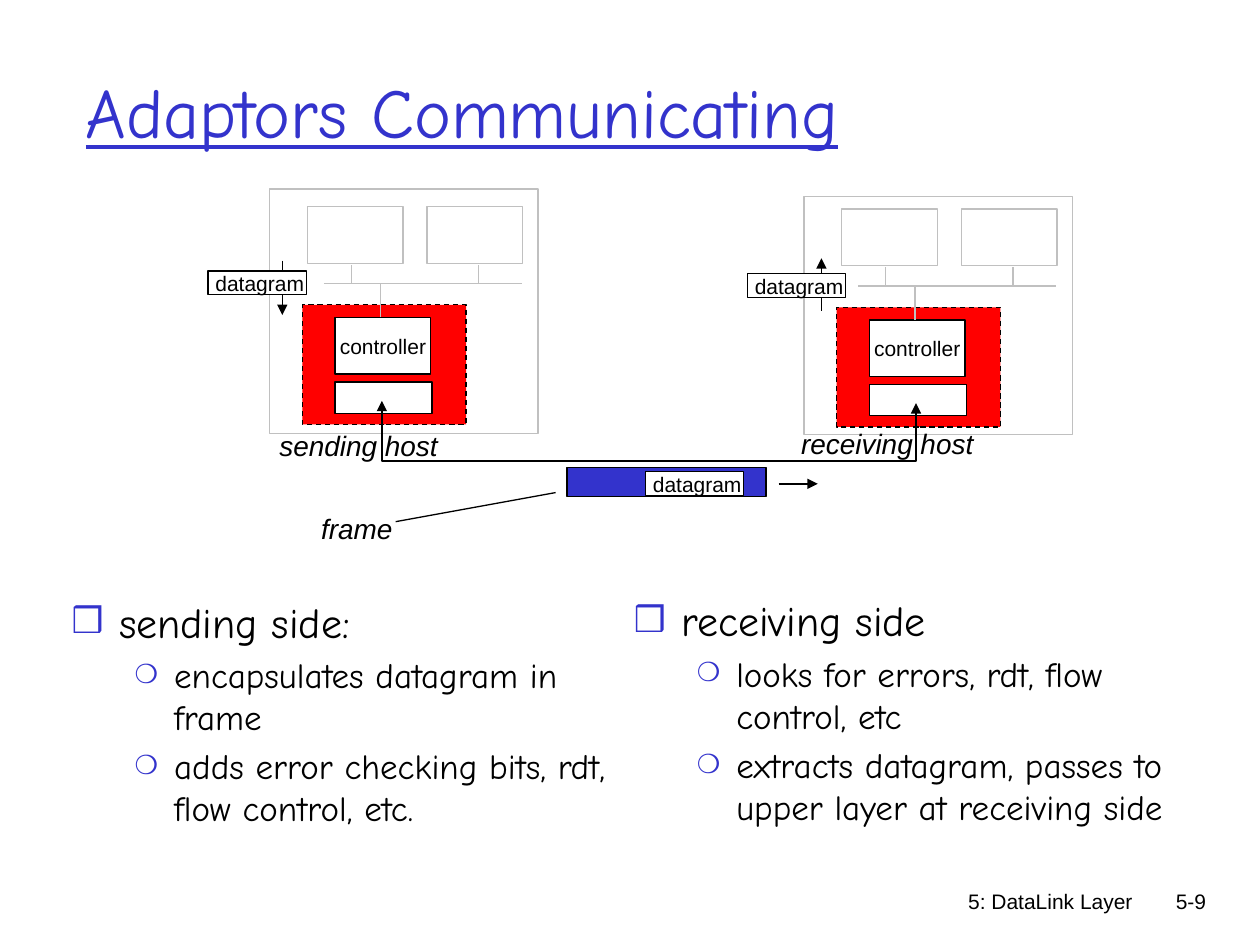
from dataclasses import dataclass

from lxml import etree
from pptx import Presentation
from pptx.dml.color import RGBColor
from pptx.enum.dml import MSO_LINE
from pptx.enum.shapes import MSO_CONNECTOR, MSO_SHAPE
from pptx.enum.text import MSO_ANCHOR, MSO_AUTO_SIZE, PP_ALIGN
from pptx.oxml.ns import qn
from pptx.util import Pt

RECT = MSO_SHAPE.RECTANGLE
STRAIGHT = MSO_CONNECTOR.STRAIGHT
DASH = MSO_LINE.DASH
NO_AUTOFIT = MSO_AUTO_SIZE.NONE
LEFT, CENTER, RIGHT = PP_ALIGN.LEFT, PP_ALIGN.CENTER, PP_ALIGN.RIGHT
TOP, MIDDLE = MSO_ANCHOR.TOP, MSO_ANCHOR.MIDDLE


@dataclass(frozen=True)
class Theme:
    ink: RGBColor = RGBColor(0, 0, 0)
    paper: RGBColor = RGBColor(0xFF, 0xFF, 0xFF)
    accent: RGBColor = RGBColor(0x33, 0x33, 0xCC)
    adaptor: RGBColor = RGBColor(0xFF, 0, 0)
    faint: RGBColor = RGBColor(0xC0, 0xC0, 0xC0)
    heading_font: str = "Comic Neue"
    label_font: str = "Arial"
    title: int = 40
    topic: int = 24
    detail: int = 20
    caption: int = 16
    label: int = 12
    rule: float = 0.75


THEME = Theme()


def set_font(font, name, size, color=THEME.ink):
    font.name = name
    font.size = Pt(size)
    font.color.rgb = color


def place(placeholder, box):
    placeholder.left, placeholder.top, placeholder.width, placeholder.height = map(Pt, box)


def style_line(line, color):
    line.color.rgb = color
    line.width = Pt(THEME.rule)


def add_rect(slide, box, fill=THEME.paper, line=THEME.ink):
    rect = slide.shapes.add_shape(RECT, *map(Pt, box))
    rect.shadow.inherit = False
    rect.fill.solid()
    rect.fill.fore_color.rgb = fill
    style_line(rect.line, line)
    return rect


def add_arrowheads(shape, *ends):
    """Put triangles on the given ends of a styled line, headEnd before tailEnd."""
    outline = shape._element.spPr.find(qn("a:ln"))
    for end in ends:
        etree.SubElement(outline, qn(f"a:{end}"), type="triangle")


def add_line(slide, start, finish, color=THEME.ink, ends=()):
    connector = slide.shapes.add_connector(STRAIGHT, *map(Pt, (*start, *finish)))
    etree.SubElement(connector._element.spPr, qn("a:effectLst"))
    style_line(connector.line, color)
    add_arrowheads(connector, *ends)


def add_label(slide, words, box, size, italic=False, align=LEFT, wrap=False):
    frame = slide.shapes.add_textbox(*map(Pt, box)).text_frame
    frame.word_wrap = wrap
    paragraph = frame.paragraphs[0]
    paragraph.text = words
    paragraph.alignment = align
    set_font(paragraph.font, THEME.label_font, size)
    paragraph.font.italic = italic


def label_rect(rect, words, align, anchor, left_inset=0):
    frame = rect.text_frame
    frame.margin_left = Pt(left_inset)
    frame.margin_top = frame.margin_right = frame.margin_bottom = 0
    frame.word_wrap = False
    frame.vertical_anchor = anchor
    paragraph = frame.paragraphs[0]
    paragraph.text = words
    paragraph.alignment = align
    set_font(paragraph.font, THEME.label_font, THEME.label)


def add_title(slide, words, box):
    title = slide.shapes.title
    place(title, box)
    frame = title.text_frame
    frame.auto_size = NO_AUTOFIT
    frame.vertical_anchor = MIDDLE
    paragraph = frame.paragraphs[0]
    paragraph.text = words
    paragraph.alignment = LEFT
    set_font(paragraph.font, THEME.heading_font, THEME.title, THEME.accent)
    paragraph.font.underline = True


def add_bullet(paragraph, mark, percent, margin, hanging):
    properties = paragraph._p.get_or_add_pPr()
    properties.set("marL", str(Pt(margin)))
    properties.set("indent", str(-Pt(hanging)))
    color = etree.SubElement(properties, qn("a:buClr"))
    etree.SubElement(color, qn("a:srgbClr"), val=str(THEME.accent))
    etree.SubElement(properties, qn("a:buSzPct"), val=str(percent * 1000))
    etree.SubElement(properties, qn("a:buChar"), char=mark)


def add_side_list(placeholder, topic, details, box):
    place(placeholder, box)
    frame = placeholder.text_frame
    frame.auto_size = NO_AUTOFIT
    heading = frame.paragraphs[0]
    heading.text = topic
    heading.space_before = Pt(0)
    add_bullet(heading, "❒", 85, 27, 27)
    set_font(heading.font, THEME.heading_font, THEME.topic)
    for detail in details:
        item = frame.add_paragraph()
        item.text = detail
        item.level = 1
        item.space_before = Pt(THEME.detail * 0.2)
        add_bullet(item, "❍", 75, 58.5, 22.5)
        set_font(item.font, THEME.heading_font, THEME.detail)


def add_host(slide, box, inner_top):
    """Draw a host outline, with its parts measured from its left and inner_top."""
    left = box[0]

    def at(x, y):
        return left + x, inner_top + y

    add_rect(slide, box, line=THEME.faint)
    adaptor = add_rect(slide, (*at(18.7, 66.2), 93.6, 68.4), fill=THEME.adaptor)
    adaptor.line.dash_style = DASH
    add_rect(slide, (*at(37.4, 110.2), 55.4, 18))
    unit = 54.7, 32.4
    controller = add_rect(slide, (*at(37.4, 73.4), *unit))
    label_rect(controller, "controller", CENTER, MIDDLE)
    bus = 54
    add_line(slide, at(31, bus), at(144, bus), THEME.faint)
    add_line(slide, at(63.4, 73.4), at(63.4, bus), THEME.faint)
    for unit_left, leg in ((21.6, 46.8), (90, 119.5)):
        add_rect(slide, (*at(unit_left, 10.1), *unit), line=THEME.faint)
        add_line(slide, at(leg, bus), at(leg, 43.2), THEME.faint)


def add_datagram(slide, left, top):
    label_rect(add_rect(slide, (left, top, 56.2, 13.7)), "datagram", LEFT, TOP, 4.3)


def add_link(slide, left, top, right, bottom):
    """Draw the wire that joins the two adaptors from below."""
    outline = slide.shapes.build_freeform(Pt(left), Pt(top))
    outline.add_line_segments(
        [(Pt(x), Pt(y)) for x, y in ((left, bottom), (right, bottom), (right, top + 1.4))],
        close=False)
    wire = outline.convert_to_shape()
    wire.shadow.inherit = False
    wire.fill.background()
    style_line(wire.line, THEME.ink)
    add_arrowheads(wire, "headEnd", "tailEnd")


def add_frame(slide, left, top):
    add_rect(slide, (left, top, 113.8, 16.6), fill=THEME.accent)
    add_datagram(slide, left + 44.8, top + 2.4)
    add_line(slide, (left + 121, top + 9.4), (left + 143.3, top + 9.4), ends=["tailEnd"])
    add_label(slide, "frame", (left - 147.6, top + 21.6, 55.4, 26.6), THEME.caption, italic=True)
    add_line(slide, (left - 97.9, top + 31), (left - 6.5, top + 14.4))


def main():
    deck = Presentation()
    deck.slide_width, deck.slide_height = Pt(720), Pt(540)
    slide = deck.slides.add_slide(deck.slide_layouts[3])
    sending, receiving = list(slide.placeholders)[1:3]

    add_title(slide, "Adaptors Communicating", (41.8, 18, 612, 90))
    add_side_list(sending, "sending side:",
                  ["encapsulates datagram in frame",
                   "adds error checking bits, rdt, flow control, etc."],
                  (33.8, 337, 320.4, 152.6))
    add_side_list(receiving, "receiving side",
                  ["looks for errors, rdt, flow control, etc",
                   "extracts datagram, passes to upper layer at receiving side"],
                  (355, 336.2, 321.8, 145.4))

    add_host(slide, (154.1, 108, 153.4, 139.7), 108)
    add_host(slide, (459.4, 112.3, 153.4, 136.1), 109.4)
    add_label(slide, "sending host", (152.6, 241.2, 105.1, 26.6), THEME.caption, italic=True)
    add_label(slide, "receiving host", (450.7, 240.5, 113, 26.6), THEME.caption, italic=True)
    add_line(slide, (161.3, 149), (161.3, 180), ends=["tailEnd"])
    add_datagram(slide, 118.8, 154.8)
    add_line(slide, (469.4, 147.6), (469.4, 177.8), ends=["headEnd"])
    add_datagram(slide, 427, 156.2)
    add_link(slide, 218.2, 229, 523.4, 263.5)
    add_frame(slide, 324, 267.1)

    for words, left, width in (("5: DataLink Layer", 426.2, 228.2), ("5-9", 643, 53.3)):
        add_label(slide, words, (left, 504, width, 36), THEME.label, align=RIGHT, wrap=True)
    deck.save("out.pptx")


if __name__ == "__main__":
    main()
